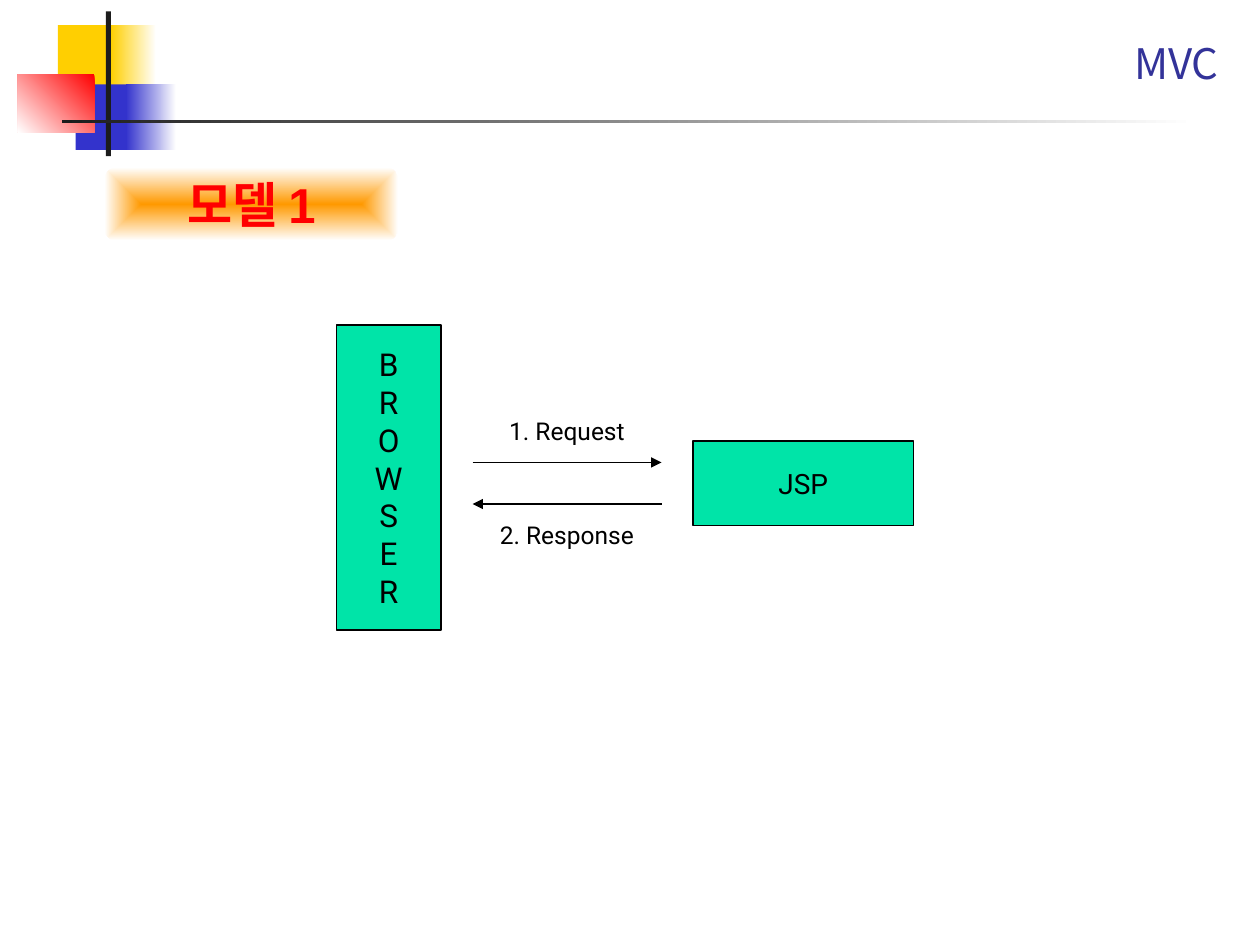
from lxml import etree
from pptx import Presentation
from pptx.dml.color import RGBColor
from pptx.enum.shapes import MSO_CONNECTOR, MSO_SHAPE
from pptx.enum.text import MSO_ANCHOR, PP_ALIGN
from pptx.oxml.ns import qn
from pptx.util import Inches, Pt

RECTANGLE = MSO_SHAPE.RECTANGLE
ROUNDED = MSO_SHAPE.ROUNDED_RECTANGLE
STRAIGHT = MSO_CONNECTOR.STRAIGHT
MIDDLE, BOTTOM = MSO_ANCHOR.MIDDLE, MSO_ANCHOR.BOTTOM
CENTER, RIGHT = PP_ALIGN.CENTER, PP_ALIGN.RIGHT

WHITE = RGBColor(0xFF, 0xFF, 0xFF)
BLACK = RGBColor(0x00, 0x00, 0x00)
CHARCOAL = RGBColor(0x1C, 0x1C, 0x1C)
YELLOW = RGBColor(0xFF, 0xCF, 0x01)
BLUE = RGBColor(0x33, 0x33, 0xCC)
NAVY = RGBColor(0x33, 0x33, 0x99)
RED = RGBColor(0xFF, 0x00, 0x00)
ORANGE = RGBColor(0xFF, 0x99, 0x00)
GREEN = RGBColor(0x00, 0xE4, 0xA8)

BODY_FONT = "Roboto"
KOREAN_FONT = "Noto Sans CJK KR"
HEADING_FONT = "Arial"


def write_text(shape, text, size, font=BODY_FONT, color=BLACK, bold=False,
               align=CENTER, anchor=MIDDLE, wrap=False):
    """Fill a shape with text, one paragraph per line."""
    frame = shape.text_frame
    frame.text = text
    frame.word_wrap = wrap
    frame.vertical_anchor = anchor
    for paragraph in frame.paragraphs:
        paragraph.alignment = align
        for run in paragraph.runs:
            run.font.size = Pt(size)
            run.font.name = font
            run.font.bold = bold
            run.font.color.rgb = color
            east_asian = etree.Element(qn("a:ea"), typeface=KOREAN_FONT)
            run.font._element.find(qn("a:latin")).addnext(east_asian)


def add_block(slide, box, color, outline=None, kind=RECTANGLE):
    """Add a solid shape; box is left, top, width, height in inches."""
    shape = slide.shapes.add_shape(kind, *map(Inches, box))
    shape.shadow.inherit = False
    shape.fill.solid()
    shape.fill.fore_color.rgb = color
    if outline is None:
        shape.line.fill.background()
    else:
        shape.line.color.rgb = outline
        shape.line.width = Pt(0.75)
    return shape


def add_gradient_block(slide, box, start, end, angle=180, kind=RECTANGLE):
    """Add a block with a two-colour gradient, angle counted anticlockwise."""
    shape = add_block(slide, box, start, kind=kind)
    shape.fill.gradient()
    shape.fill.gradient_angle = angle
    for stop, color in zip(shape.fill.gradient_stops, (start, end)):
        stop.color.rgb = color
    return shape


def spread_from_center(shape):
    """Turn a linear gradient into a rectangular one around the centre."""
    gradient = shape._element.spPr.find(qn("a:gradFill"))
    linear = gradient.find(qn("a:lin"))
    rectangular = etree.Element(qn("a:path"))
    rectangular.set("path", "rect")
    etree.SubElement(rectangular, qn("a:fillToRect"),
                     {side: "50000" for side in "ltrb"})
    gradient.replace(linear, rectangular)


def add_label(slide, box, text, size, **text_format):
    label = slide.shapes.add_textbox(*map(Inches, box))
    write_text(label, text, size, **text_format)


def add_arrow(slide, start_x, end_x, y):
    arrow = slide.shapes.add_connector(
        STRAIGHT, Inches(start_x), Inches(y), Inches(end_x), Inches(y))
    arrow.line.color.rgb = BLACK
    arrow.line.width = Pt(0.75)
    etree.SubElement(arrow.line._get_or_add_ln(), qn("a:tailEnd"), type="triangle")
    etree.SubElement(arrow._element.spPr, qn("a:effectLst"))


def add_decoration(slide):
    add_block(slide, (0.46, 0.2, 0.48, 0.52), YELLOW)
    add_gradient_block(slide, (0.88, 0.2, 0.36, 0.52), WHITE, YELLOW)
    add_block(slide, (0.6, 0.67, 0.46, 0.52), BLUE)
    add_gradient_block(slide, (1, 0.67, 0.4, 0.52), WHITE, BLUE)
    add_gradient_block(slide, (0.14, 0.59, 0.61, 0.46), RED, WHITE, angle=225)
    add_block(slide, (0.84, 0.09, 0.04, 1.15), CHARCOAL)
    add_gradient_block(slide, (0.49, 0.95, 9, 0.03), WHITE, CHARCOAL)


def main():
    presentation = Presentation()
    presentation.slide_width = Inches(10)
    presentation.slide_height = Inches(7.5)
    slide = presentation.slides.add_slide(presentation.slide_layouts[6])

    # Corner squares, rules and title
    add_decoration(slide)
    add_label(slide, (1.25, 0.17, 8.52, 0.58), "MVC", 24, font=KOREAN_FONT,
              color=NAVY, align=RIGHT, anchor=BOTTOM, wrap=True)

    # Browser and JSP boxes
    browser = add_block(slide, (2.67, 2.58, 0.83, 2.42), GREEN, outline=BLACK)
    write_text(browser, "\n".join("BROWSER"), 18)
    jsp = add_block(slide, (5.5, 3.5, 1.75, 0.67), GREEN, outline=BLACK)
    write_text(jsp, "JSP", 16)

    # Heading
    heading = add_gradient_block(slide, (0.83, 1.33, 2.33, 0.58),
                                 ORANGE, WHITE, kind=ROUNDED)
    spread_from_center(heading)
    write_text(heading, "모델 1", 28, font=HEADING_FONT, color=RED, bold=True)

    # Request and response
    left, right = 3.75, 5.25
    add_arrow(slide, left, right, 3.67)
    add_arrow(slide, right, left, 4)
    for top, text in ((3.25, "1. Request"), (4.08, "2. Response")):
        add_label(slide, (left, top, right - left, 0.33), text, 14)

    presentation.save("out.pptx")


if __name__ == "__main__":
    main()
